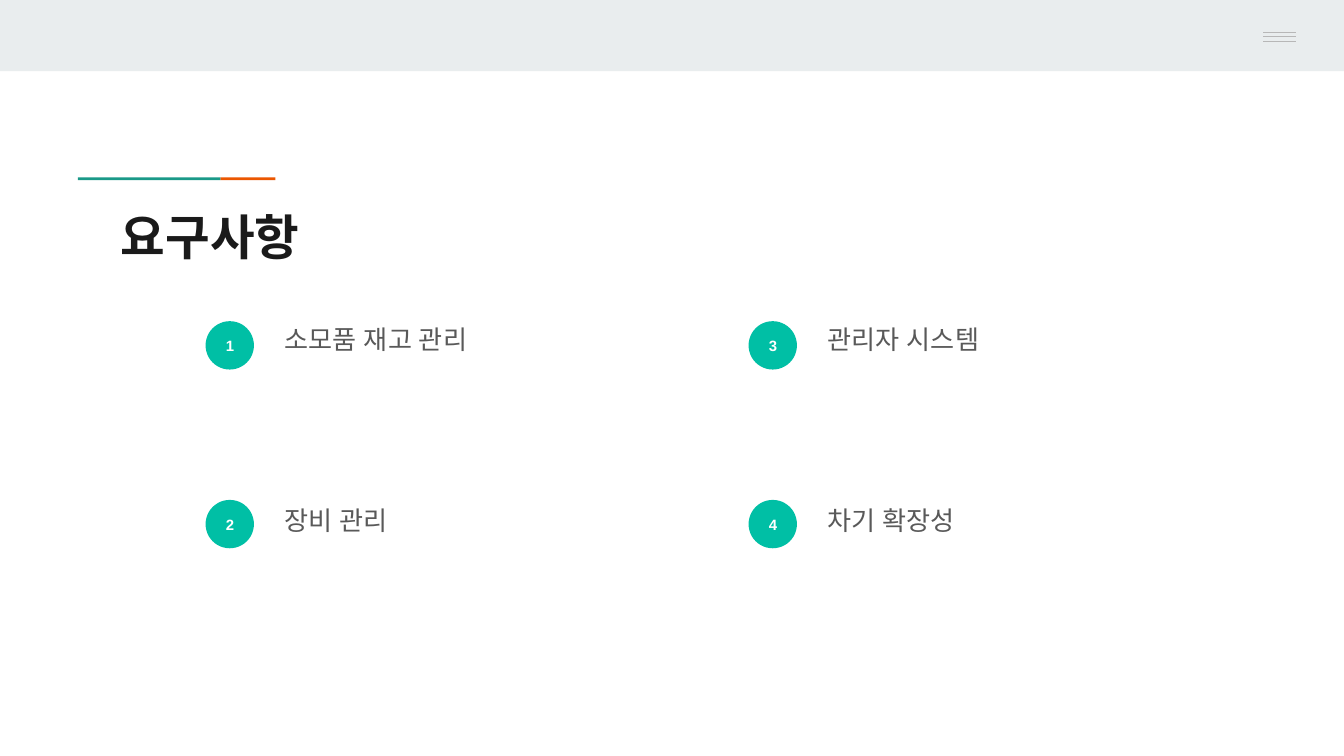
import pptx
import pptx.dml.color
import pptx.enum.shapes
import pptx.enum.text
import pptx.oxml.ns
import pptx.util
from lxml import etree

Inches = pptx.util.Inches
RGBColor = pptx.dml.color.RGBColor
Shape = pptx.enum.shapes.MSO_SHAPE
Align = pptx.enum.text.PP_ALIGN
Anchor = pptx.enum.text.MSO_ANCHOR

WHITE = RGBColor(0xFF, 0xFF, 0xFF)
BAND = RGBColor(0xE9, 0xED, 0xEE)
ORANGE = RGBColor(0xEB, 0x56, 0x00)
TEAL = RGBColor(0x1A, 0x99, 0x88)
MINT = RGBColor(0x00, 0xBF, 0xA5)
SILVER = RGBColor(0xB7, 0xB7, 0xB7)
INK = RGBColor(0x1A, 0x1A, 0x1A)
GRAY = RGBColor(0x59, 0x59, 0x59)


def write(shape, text, font="Lato", size=14, color=GRAY, bold=False,
          align=Align.LEFT, anchor=Anchor.TOP, spacing=None, after=0):
    frame = shape.text_frame
    frame.word_wrap = True
    frame.vertical_anchor = anchor
    frame.margin_left = frame.margin_right = Inches(0.1)
    frame.margin_top = frame.margin_bottom = Inches(0.1)
    para = frame.paragraphs[0]
    para.alignment = align
    para.line_spacing = spacing
    para.space_after = pptx.util.Pt(after)
    run = para.add_run()
    run.text = text
    run.font.name = font
    run.font.size = pptx.util.Pt(size)
    run.font.bold = bold
    run.font.color.rgb = color
    etree.SubElement(run.font._element, pptx.oxml.ns.qn("a:ea"), typeface=font)


class Deck:
    """Holds the style and the current slide, and draws each kind of element."""

    def __init__(self):
        self.show = pptx.Presentation()
        self.show.slide_width = Inches(10)
        self.show.slide_height = Inches(10) * 9 // 16
        self.slide = self.show.slides.add_slide(self.show.slide_layouts[6])

    def block(self, x, y, w, h, fill, kind=Shape.RECTANGLE):
        shape = self.slide.shapes.add_shape(kind, *map(Inches, (x, y, w, h)))
        shape.shadow.inherit = False
        shape.fill.solid()
        shape.fill.fore_color.rgb = fill
        shape.line.fill.background()
        return shape

    def line(self, x, y, width):
        line = self.slide.shapes.add_connector(
            pptx.enum.shapes.MSO_CONNECTOR.STRAIGHT,
            *map(Inches, (x, y, x + width, y)))
        line.line.color.rgb = SILVER
        line.line.width = pptx.util.Pt(0.75)
        etree.SubElement(line._element.spPr, pptx.oxml.ns.qn("a:effectLst"))

    def text(self, x, y, w, h, words, **style):
        box = self.slide.shapes.add_textbox(*map(Inches, (x, y, w, h)))
        write(box, words, **style)

    def badge(self, x, y, number):
        dot = self.block(x, y, 0.36, 0.36, MINT, Shape.OVAL)
        write(dot, str(number), font="Arial", size=8, color=WHITE, bold=True,
              align=Align.CENTER, anchor=Anchor.MIDDLE)


def main():
    deck = Deck()
    deck.block(0, 0, 10, 0.53, BAND)
    deck.block(1.64, 1.32, 0.41, 0.02, ORANGE)
    deck.block(0.58, 1.32, 1.06, 0.02, TEAL)
    deck.block(9.06, 0, 0.94, 0.5, BAND)
    for y in (0.24, 0.27, 0.31):
        deck.line(9.4, y, 0.24)
    deck.text(0.8, 1.44, 8.41, 0.59, "요구사항",
              font="Manrope", size=26, color=INK, bold=True)
    needs = ("소모품 재고 관리", "장비 관리", "관리자 시스템", "차기 확장성")
    for i, need in enumerate(needs):
        col, row = divmod(i, 2)
        x = 1.53 + 4.04 * col
        deck.badge(x, 2.39 + 1.33 * row, i + 1)
        deck.text(x + 0.49, 2.27 + 1.35 * row, 3.1, 1.15, need,
                  spacing=1.15, after=16)
    deck.show.save("out.pptx")


if __name__ == "__main__":
    main()
